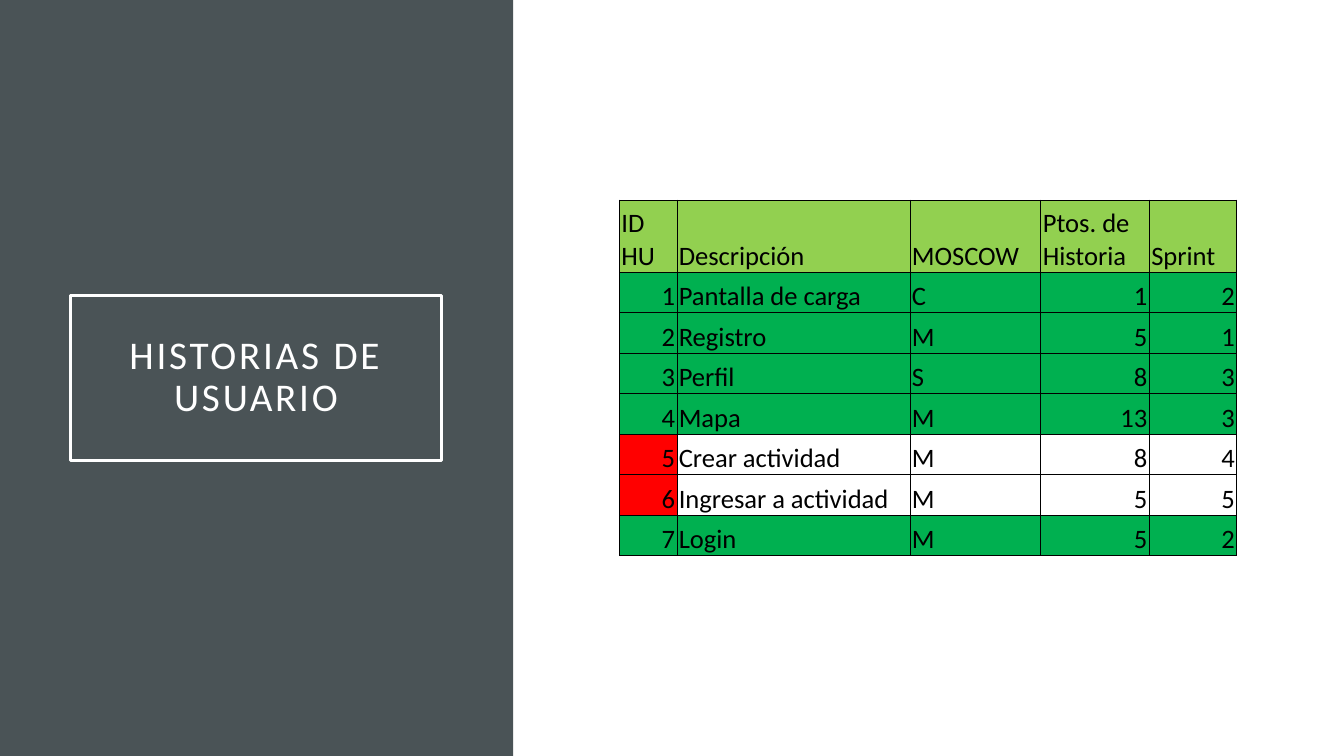
from lxml.etree import SubElement
from pptx import Presentation
from pptx.dml.color import RGBColor
from pptx.enum.shapes import MSO_SHAPE
from pptx.enum.text import MSO_ANCHOR, PP_ALIGN
from pptx.oxml.ns import qn
from pptx.util import Pt


def color(hex_code):
    return RGBColor.from_string(hex_code)


def add_borders(cell, hex_code, width):
    properties = cell._tc.get_or_add_tcPr()
    for side in ("lnL", "lnR", "lnT", "lnB"):
        line = SubElement(properties, qn(f"a:{side}"), w=str(Pt(width)))
        fill = SubElement(line, qn("a:solidFill"))
        SubElement(fill, qn("a:srgbClr"), val=hex_code)


FONT = "Calibri"
HEADER, DONE, PENDING = "92D050", "00B050", "FF0000"

presentation = Presentation()
presentation.slide_width, presentation.slide_height = Pt(960), Pt(540)
slide = presentation.slides.add_slide(presentation.slide_layouts[6])

# Dark panel on the left
panel = slide.shapes.add_shape(MSO_SHAPE.RECTANGLE, 0, 0, Pt(366.5), Pt(540))
panel.shadow.inherit = False
panel.fill.solid()
panel.fill.fore_color.rgb = color("4A5356")
panel.line.fill.background()

# Framed title
title = slide.shapes.add_shape(MSO_SHAPE.RECTANGLE, Pt(50.4), Pt(211), Pt(265), Pt(118))
title.shadow.inherit = False
title.fill.background()
title.line.color.rgb = color("FFFFFF")
title.line.width = Pt(2.5)
frame = title.text_frame
frame.word_wrap = True
frame.vertical_anchor = MSO_ANCHOR.MIDDLE
frame.margin_left = frame.margin_right = frame.margin_top = frame.margin_bottom = Pt(14.4)
heading = frame.paragraphs[0]
heading.alignment = PP_ALIGN.CENTER
heading.line_spacing = 0.9
heading.font.name = FONT
heading.font.size = Pt(28)
heading.font.color.rgb = color("FFFFFF")
heading_run = heading.add_run()
heading_run.text = "HISTORIAS DE USUARIO"
heading_run._r.get_or_add_rPr().set("spc", "200")

# User stories: ID, description, priority, points, sprint
stories = [
    ("ID HU", "Descripción", "MOSCOW", "Ptos. de Historia", "Sprint"),
    (1, "Pantalla de carga", "C", 1, 2),
    (2, "Registro", "M", 5, 1),
    (3, "Perfil", "S", 8, 3),
    (4, "Mapa", "M", 13, 3),
    (5, "Crear actividad", "M", 8, 4),
    (6, "Ingresar a actividad", "M", 5, 5),
    (7, "Login", "M", 5, 2),
]
pending_ids = (5, 6)
column_widths = (41, 166.5, 93.5, 77.5, 62.5)
header_height, story_height = 51.6, 28.93

backlog = slide.shapes.add_table(
    len(stories), len(column_widths), Pt(442.5), Pt(142.9),
    Pt(sum(column_widths)), Pt(header_height + 7 * story_height)).table
backlog.first_row = backlog.horz_banding = False
for column, width in zip(backlog.columns, column_widths):
    column.width = Pt(width)

for row_index, story in enumerate(stories):
    is_header = row_index == 0
    is_pending = story[0] in pending_ids
    backlog.rows[row_index].height = Pt(header_height if is_header else story_height)
    for column_index, value in enumerate(story):
        cell = backlog.cell(row_index, column_index)
        cell.vertical_anchor = MSO_ANCHOR.BOTTOM
        cell.margin_left = cell.margin_right = cell.margin_top = Pt(1.4)
        cell.margin_bottom = 0
        add_borders(cell, "000000", 0.5)
        if is_pending and column_index > 0:
            cell.fill.background()
        else:
            cell.fill.solid()
            cell.fill.fore_color.rgb = color(
                HEADER if is_header else PENDING if is_pending else DONE)
        cell.text = str(value)
        entry = cell.text_frame.paragraphs[0]
        entry.alignment = PP_ALIGN.RIGHT if isinstance(value, int) else PP_ALIGN.LEFT
        entry.font.name = FONT
        entry.font.size = Pt(19)
        entry.font.bold = False
        entry.font.color.rgb = color("000000")

presentation.save("out.pptx")
